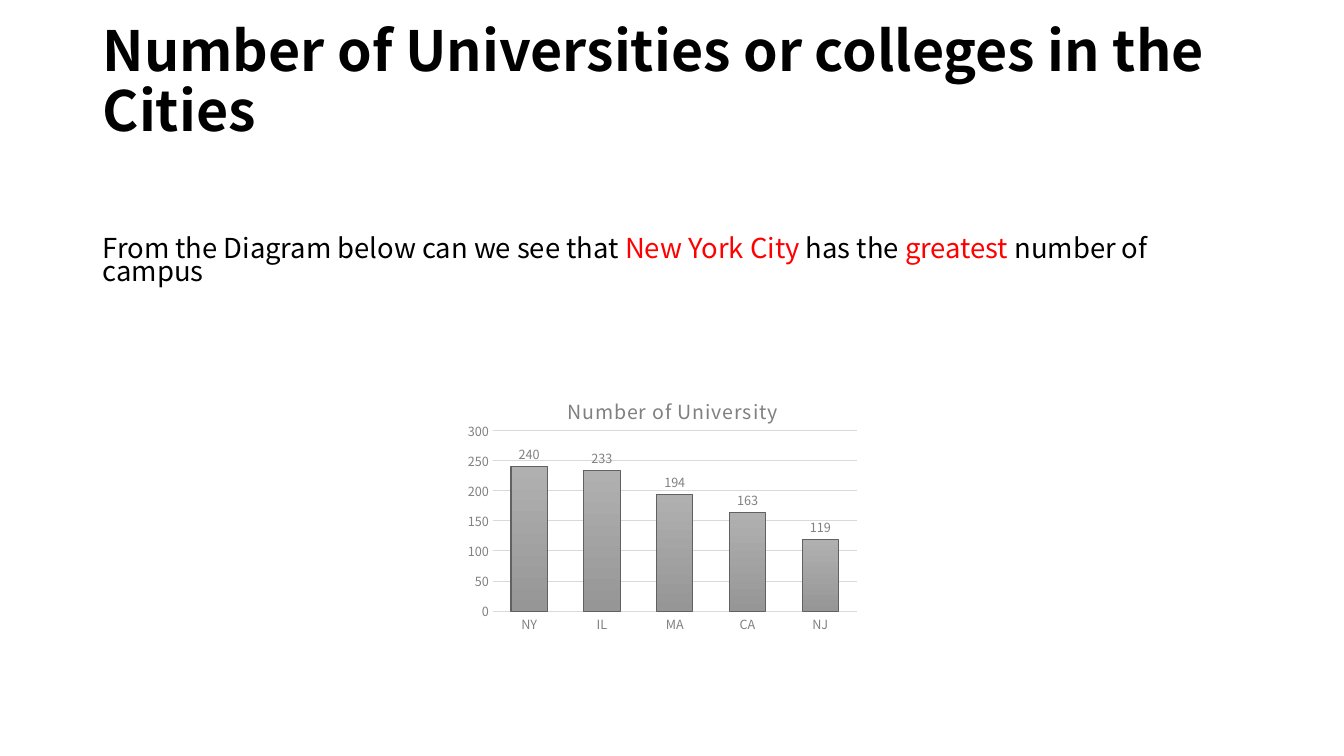
"""Build a slide that compares the number of universities in five states."""
from lxml import etree
from pptx import Presentation
from pptx.chart.data import CategoryChartData
from pptx.dml.color import RGBColor
from pptx.enum.chart import XL_CHART_TYPE, XL_LABEL_POSITION, XL_TICK_MARK
from pptx.enum.text import MSO_ANCHOR
from pptx.oxml import parse_xml
from pptx.oxml.ns import nsdecls
from pptx.util import Inches, Pt

COLUMNS = XL_CHART_TYPE.COLUMN_CLUSTERED
OUTSIDE_END = XL_LABEL_POSITION.OUTSIDE_END
NO_TICK = XL_TICK_MARK.NONE
TOP, MIDDLE = MSO_ANCHOR.TOP, MSO_ANCHOR.MIDDLE

BLACK = RGBColor(0x00, 0x00, 0x00)
RED = RGBColor(0xFF, 0x00, 0x00)
GRAY = RGBColor(0x80, 0x80, 0x80)
GRID = RGBColor(0xD9, 0xD9, 0xD9)
BAR_TOP = RGBColor(0xB0, 0xB0, 0xB0)
BAR_BOTTOM = RGBColor(0x96, 0x96, 0x96)
BAR_EDGE = RGBColor(0x61, 0x61, 0x61)

UNIVERSITIES = {"NY": 240, "IL": 233, "MA": 194, "CA": 163, "NJ": 119}


class CampusPage:
    def __init__(self, page, font_name):
        self.page = page
        self.font_name = font_name

    def style(self, font, size, color, bold=False):
        font.name = self.font_name
        font.size = Pt(size)
        font.bold = bold
        font.color.rgb = color

    def text(self, place, spans, size, spacing, bold=False, anchor=TOP, before=0, bottom=0.05):
        box = self.page.shapes.add_textbox(*map(Inches, place))
        frame = box.text_frame
        frame.word_wrap = True
        frame.vertical_anchor = anchor
        frame.margin_bottom = Inches(bottom)
        para = frame.paragraphs[0]
        para.line_spacing = spacing
        para.space_before = Pt(before)
        for words, color in spans:
            span = para.add_run()
            span.text = words
            self.style(span.font, size, color, bold)

    def column_chart(self, place, title, values, plot):
        data = CategoryChartData()
        data.categories = list(values)
        data.add_series("Series 1", list(values.values()))
        chart = self.page.shapes.add_chart(COLUMNS, *map(Inches, place), data).chart
        self.style(chart.font, 10, BLACK)
        chart.has_legend = False
        self.chart_title(chart, title)
        self.axes(chart)
        self.columns(chart.plots[0])
        self.plot_area(chart, plot)

    def chart_title(self, chart, title):
        frame = chart.chart_title.text_frame
        frame.text = title
        span = frame.paragraphs[0].runs[0]
        self.style(span.font, 14, GRAY)
        span.font._element.set("spc", "50")
        chart.chart_title.include_in_layout = False

    def axes(self, chart):
        for axis in (chart.category_axis, chart.value_axis):
            axis.major_tick_mark = axis.minor_tick_mark = NO_TICK
            self.style(axis.tick_labels.font, 9, GRAY)
        grid = chart.value_axis.major_gridlines.format.line
        for line in (chart.category_axis.format.line, grid):
            line.color.rgb = GRID
            line.width = Pt(0.75)
        chart.value_axis.format.line.fill.background()
        chart.value_axis.minimum_scale = 0
        chart.value_axis.maximum_scale = 300
        chart.value_axis.major_unit = 50

    def columns(self, plot):
        plot.gap_width = 100
        plot.overlap = -24
        plot.vary_by_categories = False
        series = plot.series[0]
        fill = series.format.fill
        fill.gradient()
        fill.gradient_angle = 270
        for stop, color in zip(fill.gradient_stops, (BAR_TOP, BAR_BOTTOM)):
            stop.color.rgb = color
        series.format.line.color.rgb = BAR_EDGE
        series.format.line.width = Pt(0.75)
        labels = series.data_labels
        labels.show_value = True
        labels.position = OUTSIDE_END
        self.style(labels.font, 9, GRAY)

    def plot_area(self, chart, plot):
        area = chart._chartSpace.chart.plotArea
        for old in area.findall("{*}layout"):
            area.remove(old)
        layout = parse_xml(f"<c:layout {nsdecls('c')}><c:manualLayout/></c:layout>")
        settings = [("layoutTarget", "inner"), ("xMode", "edge"), ("yMode", "edge")]
        settings += zip("xywh", plot)
        namespace = etree.QName(layout).namespace
        for name, value in settings:
            etree.SubElement(layout[0], f"{{{namespace}}}{name}", val=str(value))
        area.insert(0, layout)


def main():
    deck = Presentation()
    deck.slide_width, deck.slide_height = Inches(13.33), Inches(7.5)
    page = CampusPage(deck.slides.add_slide(deck.slide_layouts[6]), "Noto Sans CJK SC")
    page.text((0.92, 0.4, 11.5, 1.45),
              [("Number of Universities or colleges in the Cities", BLACK)],
              39.6, 0.9, bold=True, anchor=MIDDLE, bottom=0.64)
    page.text((0.92, 2.33, 11.5, 0.48),
              [("From the Diagram below can we see that ", BLACK), ("New York City ", RED),
               ("has the ", BLACK), ("greatest", RED), (" number of campus", BLACK)],
              19.6, 0.7, before=10)
    page.column_chart((4.64, 3.77, 4.06, 2.51), "Number of University", UNIVERSITIES,
                      (0.06, 0.2, 0.89, 0.72))
    deck.save("out.pptx")


if __name__ == "__main__":
    main()
